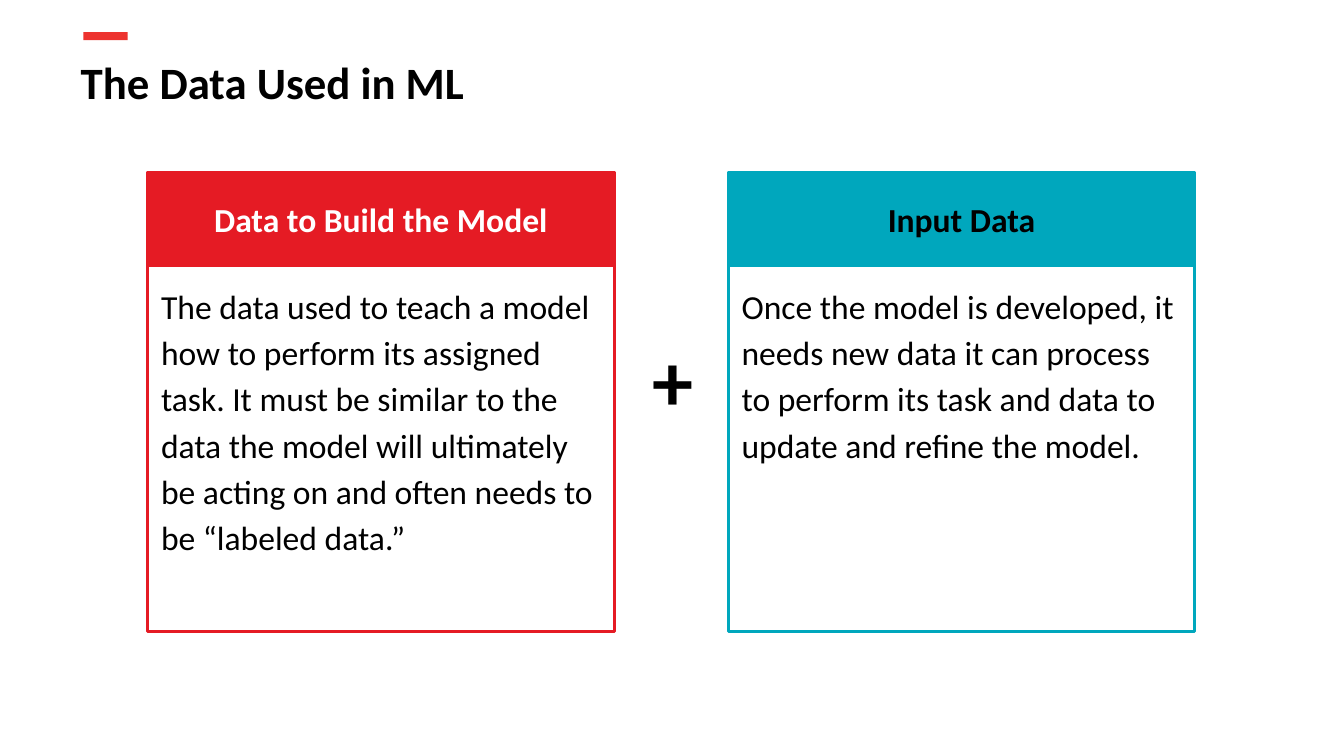
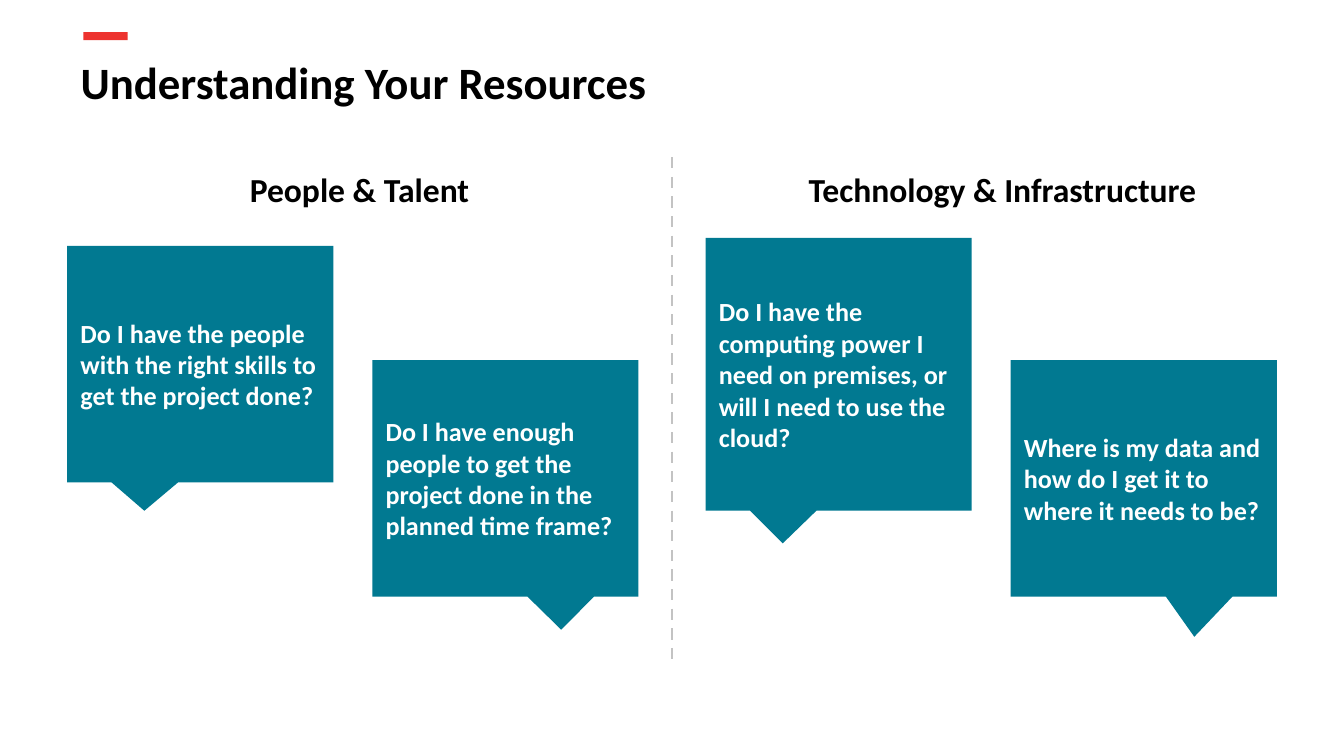
import dataclasses

import pptx
import pptx.dml.color
import pptx.enum.dml
import pptx.enum.shapes
import pptx.enum.text
import pptx.oxml
import pptx.oxml.ns
import pptx.util

Inches = pptx.util.Inches
Pt = pptx.util.Pt
Shapes = pptx.enum.shapes.MSO_SHAPE
Anchor = pptx.enum.text.MSO_ANCHOR
Align = pptx.enum.text.PP_ALIGN


@dataclasses.dataclass(frozen=True)
class Theme:
    font: str = "Calibri"
    black: str = "000000"
    white: str = "FFFFFF"
    accent: str = "ED332F"
    red: str = "E51B24"
    cyan: str = "00A7BD"
    teal: str = "017991"
    gray: str = "C3C3C3"
    title_size: int = 24
    body_size: int = 18
    callout_size: int = 14
    plus_size: int = 44
    line_width: float = 1.5


THEME = Theme()


def rgb(color):
    return pptx.dml.color.RGBColor.from_string(color)


def write_text(shape, text, size=THEME.body_size, color=THEME.black, bold=False,
               align=Align.LEFT, anchor=Anchor.MIDDLE, line_spacing=None):
    frame = shape.text_frame
    frame.word_wrap = True
    frame.auto_size = pptx.enum.text.MSO_AUTO_SIZE.NONE
    frame.vertical_anchor = anchor
    frame.margin_left = frame.margin_right = Inches(0.1)
    frame.margin_top = frame.margin_bottom = Inches(0.1)
    paragraph = frame.paragraphs[0]
    paragraph.alignment = align
    if line_spacing:
        paragraph.line_spacing = line_spacing
    run = paragraph.add_run()
    run.text = text
    run.font.name = THEME.font
    run.font.size = Pt(size)
    run.font.bold = bold
    run.font.color.rgb = rgb(color)


class Deck:
    def __init__(self):
        """Open a 16:9 presentation, 10 inches wide."""
        self.presentation = pptx.Presentation()
        self.presentation.slide_width = Inches(10)
        self.presentation.slide_height = Inches(10 * 9 / 16)
        self.slide = None

    def new_slide(self, title):
        """Start a slide with the accent bar and the title."""
        self.slide = self.presentation.slides.add_slide(self.presentation.slide_layouts[5])
        self.shape(0.62, 0.24, 0.33, 0.06, fill=THEME.accent)
        placeholder = self.slide.shapes.title
        placeholder.left, placeholder.top = Inches(0.5), Inches(0.31)
        placeholder.width, placeholder.height = Inches(9.32), Inches(0.63)
        write_text(placeholder, title, size=THEME.title_size, bold=True, anchor=Anchor.TOP)

    def shape(self, left, top, width, height, kind=Shapes.RECTANGLE, fill=None, line=None):
        shape = self.slide.shapes.add_shape(
            kind, Inches(left), Inches(top), Inches(width), Inches(height))
        shape.shadow.inherit = False
        if fill:
            shape.fill.solid()
            shape.fill.fore_color.rgb = rgb(fill)
        else:
            shape.fill.background()
        if line:
            shape.line.color.rgb = rgb(line)
            shape.line.width = Pt(THEME.line_width)
        else:
            shape.line.fill.background()
        return shape

    def label(self, left, top, width, height, text, size=THEME.body_size):
        box = self.slide.shapes.add_textbox(
            Inches(left), Inches(top), Inches(width), Inches(height))
        write_text(box, text, size=size, bold=True, align=Align.CENTER)

    def card(self, left, heading, body, color, heading_color):
        top, width, header_height = 1.28, 3.47, 0.7
        header = self.shape(left, top, width, header_height, fill=color, line=color)
        write_text(header, heading, color=heading_color, bold=True, align=Align.CENTER)
        panel = self.shape(left, top + header_height, width, 2.72, line=color)
        write_text(panel, body, anchor=Anchor.TOP, line_spacing=1.15)

    def callout(self, left, top, height, text, tip):
        """Draw a square-cornered callout; tip is its point relative to the centre."""
        shape = self.shape(left, top, 1.98, height,
                           kind=Shapes.ROUNDED_RECTANGULAR_CALLOUT, fill=THEME.teal)
        for index, value in enumerate((*tip, 0)):
            shape.adjustments[index] = value
        write_text(shape, text, size=THEME.callout_size, color=THEME.white, bold=True)

    def vertical_divider(self, left, top, bottom):
        divider = self.slide.shapes.add_connector(
            pptx.enum.shapes.MSO_CONNECTOR.STRAIGHT,
            Inches(left), Inches(top), Inches(left), Inches(bottom))
        divider.line.color.rgb = rgb(THEME.gray)
        divider.line.width = Pt(THEME.line_width)
        divider.line.dash_style = pptx.enum.dml.MSO_LINE.DASH
        properties = divider._element.spPr
        properties.append(pptx.oxml.parse_xml(
            f"<a:effectLst {pptx.oxml.ns.nsdecls('a')}/>"))


def build_data_slide(deck):
    deck.new_slide("The Data Used in ML")
    deck.card(1.1, "Data to Build the Model",
              "The data used to teach a model how to perform its assigned task. "
              "It must be similar to the data the model will ultimately be acting on "
              "and often needs to be “labeled data.”",
              THEME.red, THEME.white)
    deck.label(4.58, 2.6, 0.85, 0.43, "+", size=THEME.plus_size)
    deck.card(5.42, "Input Data",
              "Once the model is developed, it needs new data it can process to perform "
              "its task and data to update and refine the model.",
              THEME.cyan, THEME.black)


def build_resources_slide(deck):
    deck.new_slide("Understanding Your Resources")
    callouts = [
        (0.5, 1.83, 1.76, "Do I have the people with the right skills to get the project done?",
         (-0.21, 0.62)),
        (2.77, 2.68, 1.76,
         "Do I have enough people to get the project done in the planned time frame?",
         (0.21, 0.64)),
        (5.25, 1.77, 2.03,
         "Do I have the computing power I need on premises, or will I need to use the cloud?",
         (-0.21, 0.62)),
        (7.52, 2.68, 1.76, "Where is my data and how do I get it to where it needs to be?",
         (0.19, 0.67)),
    ]
    for left, top, height, text, tip in callouts:
        deck.callout(left, top, height, text, tip)
    heading_top = 1.17
    deck.vertical_divider(5, heading_top, 4.95)
    deck.label(1, heading_top, 3.35, 0.47, "People & Talent")
    deck.label(5.65, heading_top, 3.62, 0.47, "Technology & Infrastructure")


def main():
    deck = Deck()
    build_data_slide(deck)
    build_resources_slide(deck)
    deck.presentation.save("out.pptx")


if __name__ == "__main__":
    main()
